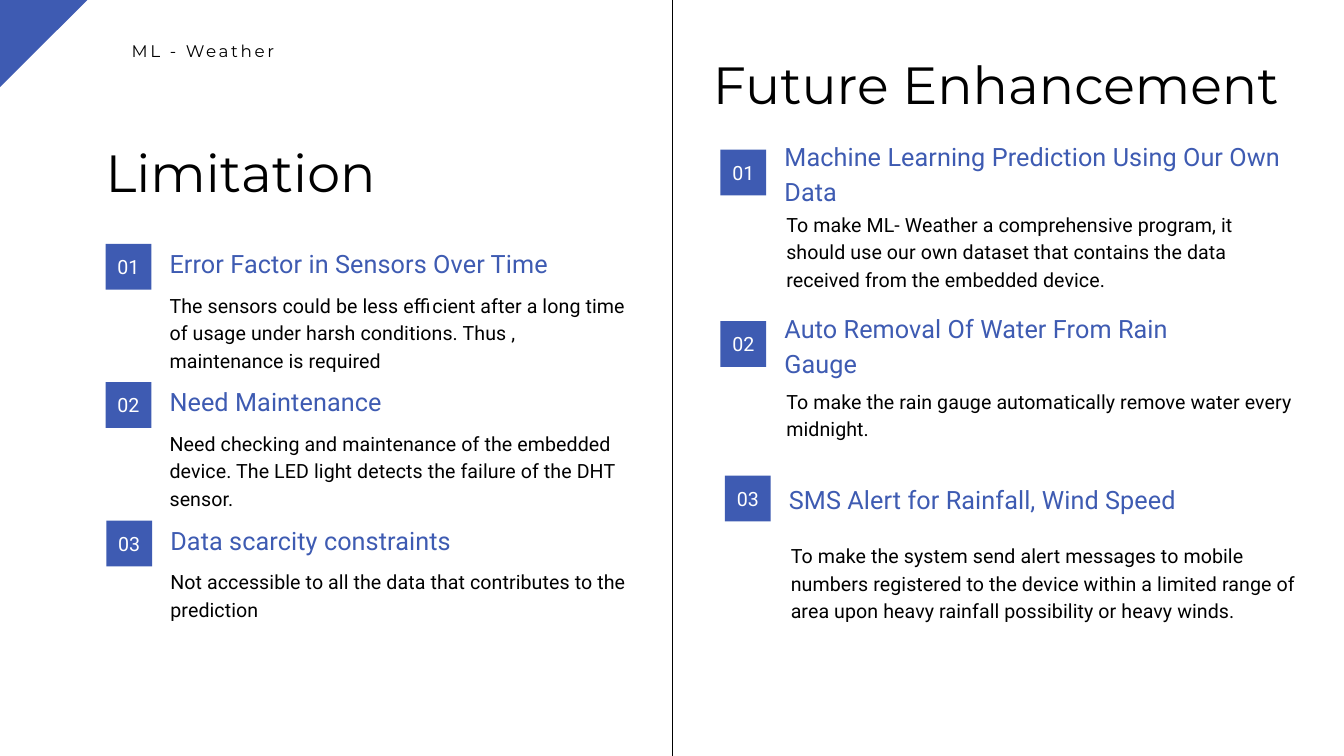
from lxml import etree
from pptx import Presentation
from pptx import util as u
from pptx.dml.color import RGBColor
from pptx.enum import shapes, text
from pptx.oxml.ns import qn

BLUE, BLACK, WHITE = "3E5BB2", "000000", "FFFFFF"
BADGE = 1.73
LIMITATIONS = [
    ("Error Factor in Sensors Over Time",
     "The sensors could be less efficient after a long time of usage under harsh "
     "conditions. Thus , maintenance is required", 3.99, 3),
    ("Need Maintenance",
     "Need checking and maintenance of the embedded device. The LED light detects "
     "the failure of the DHT sensor.", 3.99, 3),
    ("Data scarcity constraints",
     "Not accessible to all the data that contributes to the prediction", 4.02, 2),
]
ENHANCEMENTS = [
    ("Machine Learning Prediction Using Our Own Data",
     "To make ML- Weather a comprehensive program, it should use our own dataset "
     "that contains the data received from the embedded device.",
     dict(left=27.23, top=5.66, heading_dy=-0.5, heading_size=(20.17, 2.62),
          body_dy=2.24, body_size=(19.2, 3.02))),
    ("Auto Removal Of Water From Rain Gauge",
     "To make the rain gauge automatically remove water every midnight.",
     dict(left=27.23, top=12.14, heading_dy=-0.5, heading_size=(17.02, 2.62),
          body_dy=2.44, body_size=(19.2, 2.01))),
    ("SMS Alert for Rainfall, Wind Speed",
     "To make the system send alert messages to mobile numbers registered to the "
     "device within a limited range of area upon heavy rainfall possibility or heavy winds.",
     dict(left=27.4, top=17.98, heading_dy=0.13, heading_size=(17.02, 1.24),
          body_dy=2.44, body_size=(19.2, 3.02))),
]


def color(value):
    """Turn a hex string into a colour."""
    return RGBColor.from_string(value)


def write(frame, words, size, leading, font="Roboto", ink=BLACK,
          align=text.PP_ALIGN.LEFT, tracking=0):
    """Fill a text frame with one formatted paragraph."""
    frame.margin_left = frame.margin_right = frame.margin_top = frame.margin_bottom = 0
    frame.word_wrap = True
    paragraph = frame.paragraphs[0]
    paragraph.alignment = align
    paragraph.line_spacing = u.Pt(leading)
    run = paragraph.add_run()
    run.text = words
    run.font.name = font
    run.font.size = u.Pt(size)
    run.font.color.rgb = color(ink)
    if tracking:
        run.font._element.set("spc", str(round(tracking * 100)))


def add_text(slide, words, left, top, width, height, **style):
    """Add a text box that holds one paragraph."""
    box = slide.shapes.add_textbox(u.Cm(left), u.Cm(top), u.Cm(width), u.Cm(height))
    write(box.text_frame, words, **style)
    box.text_frame.auto_size = text.MSO_AUTO_SIZE.SHAPE_TO_FIT_TEXT


def paint(shape, fill):
    """Give a shape a plain fill without line or shadow."""
    shape.shadow.inherit = False
    shape.fill.solid()
    shape.fill.fore_color.rgb = color(fill)
    shape.line.fill.background()


def add_corner(slide, side):
    """Draw the triangle in the top left corner."""
    builder = slide.shapes.build_freeform(0, u.Cm(side))
    builder.add_line_segments([(0, 0), (u.Cm(side), 0)], close=True)
    paint(builder.convert_to_shape(), BLUE)


def add_divider(slide, x, top, bottom):
    """Draw the vertical line between the two halves."""
    divider = slide.shapes.add_connector(
        shapes.MSO_CONNECTOR.STRAIGHT, u.Cm(x), u.Cm(top), u.Cm(x), u.Cm(bottom))
    divider.line.color.rgb = color(BLACK)
    divider.line.width = u.Pt(0.75)
    etree.SubElement(divider._element.spPr, qn("a:effectLst"))


def add_item(slide, number, heading, body, left, top, heading_dy, heading_size,
             body_dy, body_size, body_dx=2.49):
    """Add a numbered badge with its heading and body."""
    badge = slide.shapes.add_shape(shapes.MSO_SHAPE.RECTANGLE, u.Cm(left), u.Cm(top),
                                   u.Cm(BADGE), u.Cm(BADGE))
    paint(badge, BLUE)
    write(badge.text_frame, f"{number:02}", size=21, leading=25.2, ink=WHITE,
          align=text.PP_ALIGN.CENTER)
    badge.text_frame.vertical_anchor = text.MSO_ANCHOR.MIDDLE
    add_text(slide, heading, left + 2.42, top + heading_dy, *heading_size,
             size=27, leading=37.8, ink=BLUE, tracking=0.1)
    add_text(slide, body, left + body_dx, top + body_dy, *body_size,
             size=21, leading=29.4, tracking=0.1)


def add_title(slide, words, left, top, width):
    """Add the large title of one half."""
    add_text(slide, words, left, top, width, 2.36, size=56, leading=67.2, font="Montserrat")


def main():
    """Build the slide and save it."""
    deck = Presentation()
    deck.slide_width, deck.slide_height = u.Cm(50.8), u.Cm(28.58)
    slide = deck.slides.add_slide(deck.slide_layouts[6])
    add_corner(slide, 3.3)
    add_divider(slide, 25.4, -0.69, 29.24)
    add_text(slide, "ML - Weather", 4.98, 1.32, 7.34, 2.01,
             size=18, leading=28, font="Montserrat", tracking=2.8)
    add_title(slide, "Limitation", 3.99, 5.31, 12.22)
    for index, (heading, body, left, lines) in enumerate(LIMITATIONS):
        add_item(slide, index + 1, heading, body, left, 9.22 + index * 5.23,
                 heading_dy=-0.02, heading_size=(17.02, 1.3),
                 body_dy=BADGE, body_size=(17.3, lines), body_dx=2.42)
    add_title(slide, "Future Enhancement", 26.95, 1.98, 22.89)
    for number, (heading, body, place) in enumerate(ENHANCEMENTS, 1):
        add_item(slide, number, heading, body, **place)
    deck.save("out.pptx")


if __name__ == "__main__":
    main()
